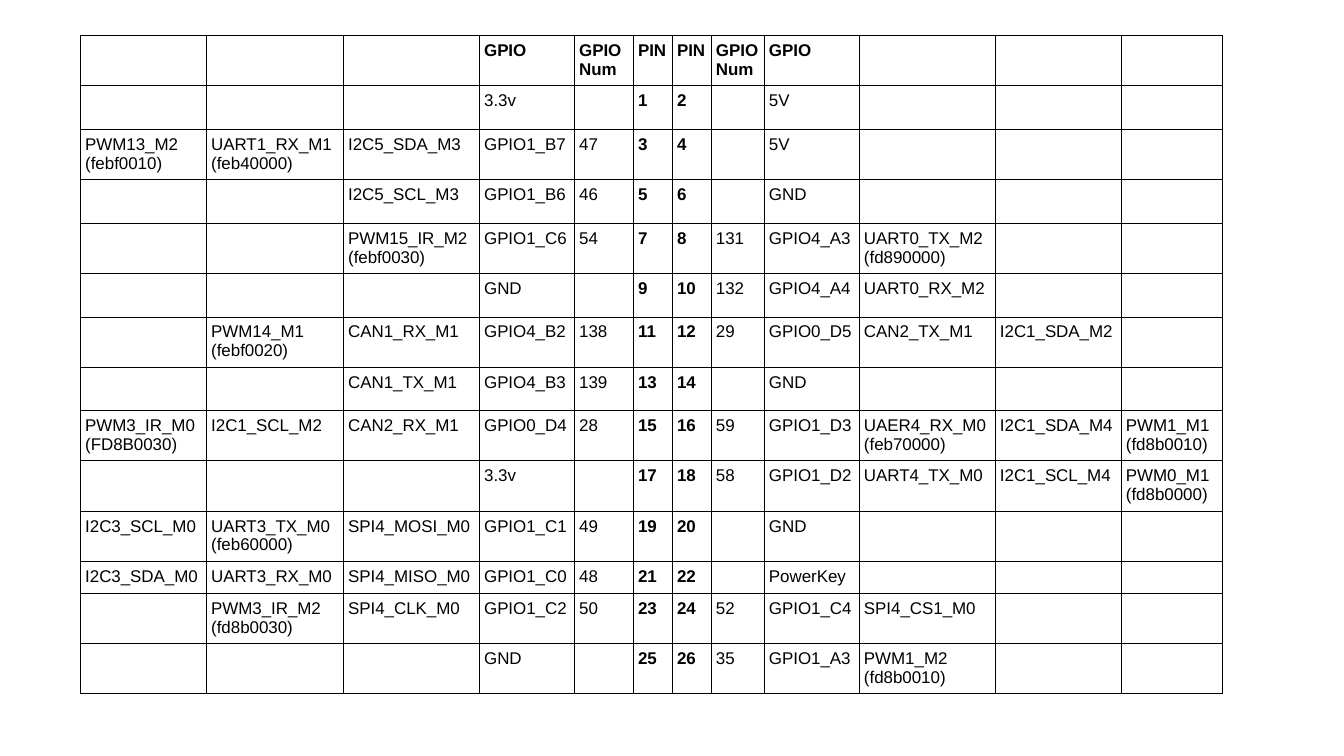
from dataclasses import dataclass

from lxml import etree
from pptx import Presentation
from pptx.dml.color import RGBColor
from pptx.oxml import ns
from pptx.table import _Cell as Cell
from pptx.util import Pt

FONT = "Arial"
FONT_SIZE = 10
BLACK = "000000"
BORDER_WIDTH = 0.57
PIN_COLUMNS = (5, 6)
FUNCTION_COUNT = 3
COLUMN_WIDTHS = (74.4, 80.9, 80.3, 56.1, 34.8, 23, 23, 31.3, 56.1, 80.3, 74.4, 59.6)
TWO_LINE_HEIGHT, ONE_LINE_HEIGHT, COMPACT_HEIGHT = 29.6, 25.8, 18.3
COMPACT_PIN = "21"


@dataclass
class Pin:
    """One header pin; its functions run outward from the middle of the table."""
    gpio: str
    number: str = ""
    functions: tuple[str, ...] = ()

    def cells(self, label: str) -> list[str]:
        functions = [name.replace(" (", "\v(") for name in self.functions]
        padding = [""] * (FUNCTION_COUNT - len(functions))
        return [label, self.number, self.gpio, *functions, *padding]


HEADING = Pin("GPIO", "GPIO\nNum")
PINS = [
    Pin("3.3v"),
    Pin("5V"),
    Pin("GPIO1_B7", "47", ("I2C5_SDA_M3", "UART1_RX_M1 (feb40000)", "PWM13_M2 (febf0010)")),
    Pin("5V"),
    Pin("GPIO1_B6", "46", ("I2C5_SCL_M3",)),
    Pin("GND"),
    Pin("GPIO1_C6", "54", ("PWM15_IR_M2 (febf0030)",)),
    Pin("GPIO4_A3", "131", ("UART0_TX_M2 (fd890000)",)),
    Pin("GND"),
    Pin("GPIO4_A4", "132", ("UART0_RX_M2",)),
    Pin("GPIO4_B2", "138", ("CAN1_RX_M1", "PWM14_M1 (febf0020)")),
    Pin("GPIO0_D5", "29", ("CAN2_TX_M1", "I2C1_SDA_M2")),
    Pin("GPIO4_B3", "139", ("CAN1_TX_M1",)),
    Pin("GND"),
    Pin("GPIO0_D4", "28", ("CAN2_RX_M1", "I2C1_SCL_M2", "PWM3_IR_M0 (FD8B0030)")),
    Pin("GPIO1_D3", "59", ("UAER4_RX_M0 (feb70000)", "I2C1_SDA_M4", "PWM1_M1 (fd8b0010)")),
    Pin("3.3v"),
    Pin("GPIO1_D2", "58", ("UART4_TX_M0", "I2C1_SCL_M4", "PWM0_M1 (fd8b0000)")),
    Pin("GPIO1_C1", "49", ("SPI4_MOSI_M0", "UART3_TX_M0 (feb60000)", "I2C3_SCL_M0")),
    Pin("GND"),
    Pin("GPIO1_C0", "48", ("SPI4_MISO_M0", "UART3_RX_M0", "I2C3_SDA_M0")),
    Pin("PowerKey"),
    Pin("GPIO1_C2", "50", ("SPI4_CLK_M0", "PWM3_IR_M2 (fd8b0030)")),
    Pin("GPIO1_C4", "52", ("SPI4_CS1_M0",)),
    Pin("GND"),
    Pin("GPIO1_A3", "35", ("PWM1_M2 (fd8b0010)",)),
]


def color(value: str) -> RGBColor:
    return RGBColor.from_string(value)


def table_row(left: Pin, right: Pin, left_label: str, right_label: str) -> list[str]:
    """Mirror the left pin so that both pin labels meet in the middle."""
    return left.cells(left_label)[::-1] + right.cells(right_label)


def row_height(texts: list[str]) -> float:
    if any("\v" in text or "\n" in text for text in texts):
        return TWO_LINE_HEIGHT
    return COMPACT_HEIGHT if COMPACT_PIN in texts else ONE_LINE_HEIGHT


def add_borders(cell: Cell) -> None:
    properties = cell._tc.get_or_add_tcPr()
    for index, side in enumerate(("lnL", "lnR", "lnT", "lnB")):
        line = etree.Element(ns.qn(f"a:{side}"), w=str(Pt(BORDER_WIDTH)))
        fill = etree.SubElement(line, ns.qn("a:solidFill"))
        etree.SubElement(fill, ns.qn("a:srgbClr"), val=BLACK)
        properties.insert(index, line)


def write_cell(cell: Cell, content: str, *, bold: bool) -> None:
    cell.margin_left = cell.margin_right = Pt(2.8)
    cell.margin_top = cell.margin_bottom = Pt(3.4)
    cell.fill.background()
    add_borders(cell)
    cell.text = content
    for para in cell.text_frame.paragraphs:
        for span in para.runs:
            span.font.name = FONT
            span.font.size = Pt(FONT_SIZE)
            span.font.bold = bold
            span.font.color.rgb = color(BLACK)
        if not para.runs:
            etree.SubElement(para._p, ns.qn("a:endParaRPr"), sz=str(FONT_SIZE * 100))


def main() -> None:
    deck = Presentation()
    deck.slide_width, deck.slide_height = Pt(793.44), Pt(446.4)
    page = deck.slides.add_slide(deck.slide_layouts[6])

    rows = [table_row(HEADING, HEADING, "PIN", "PIN")]
    for index in range(0, len(PINS), 2):
        left, right = PINS[index:index + 2]
        rows.append(table_row(left, right, str(index + 1), str(index + 2)))
    heights = [row_height(texts) for texts in rows]

    frame = page.shapes.add_table(
        len(rows), len(COLUMN_WIDTHS), Pt(47.5), Pt(21),
        Pt(sum(COLUMN_WIDTHS)), Pt(sum(heights)),
    )
    table = frame.table
    table.first_row = table.horz_banding = False
    for column, width in zip(table.columns, COLUMN_WIDTHS):
        column.width = Pt(width)
    for row_index, (texts, height) in enumerate(zip(rows, heights)):
        table.rows[row_index].height = Pt(height)
        for column_index, content in enumerate(texts):
            bold = row_index == 0 or column_index in PIN_COLUMNS
            write_cell(table.cell(row_index, column_index), content, bold=bold)

    deck.save("out.pptx")


if __name__ == "__main__":
    main()
